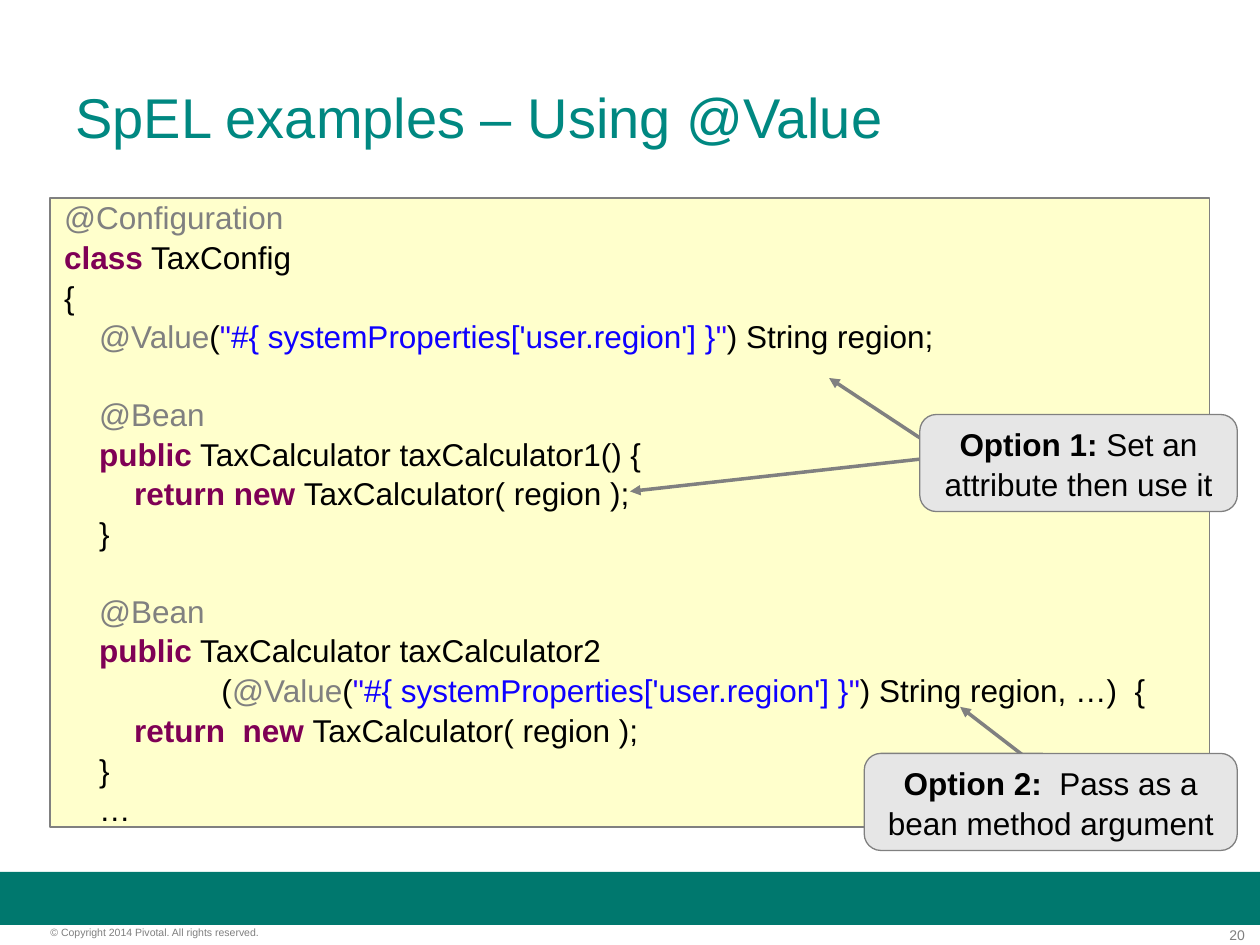
import pptx
import pptx.util
import pptx.dml.color
import pptx.enum.shapes
import pptx.enum.text
import pptx.oxml
import pptx.oxml.ns
from dataclasses import dataclass

Inches, Pt = pptx.util.Inches, pptx.util.Pt
RGB = pptx.dml.color.RGBColor.from_string
MSO = pptx.enum.shapes.MSO_SHAPE
ALIGN = pptx.enum.text.PP_ALIGN
ANCHOR = pptx.enum.text.MSO_ANCHOR


@dataclass(frozen=True)
class Theme:
    font: str = "Arial"
    title: str = "008881"
    band: str = "00786E"
    footer: str = "7F7F7F"
    code_fill: str = "FFFFCC"
    note_fill: str = "E6E6E6"
    line: str = "808080"
    text: str = "000000"
    keyword: str = "7F0055"
    annotation: str = "808080"
    quote: str = "2A00FF"
    string: str = "0F00FF"
    title_size: int = 32
    body_size: int = 18
    number_size: int = 8
    copyright_size: int = 6
    spacing: float = 1.05


T = Theme()


def add_box(kind, at, fill=None, line=None, width=0, inset=(0, 0)):
    """Add a preset shape, or a text box when kind is None."""
    pos = [Inches(v) for v in at]
    if kind is None:
        sp = s.shapes.add_textbox(*pos)
    else:
        sp = s.shapes.add_shape(kind, *pos)
        sp.shadow.inherit = False
        sp.fill.solid()
        sp.fill.fore_color.rgb = RGB(fill)
        if line:
            sp.line.color.rgb = RGB(line)
            sp.line.width = Pt(width)
        else:
            sp.line.fill.background()
    tf = sp.text_frame
    tf.word_wrap = True
    tf.margin_left = tf.margin_right = Inches(inset[0])
    tf.margin_top = tf.margin_bottom = Inches(inset[1])
    tf.vertical_anchor = ANCHOR.MIDDLE if inset[0] else ANCHOR.TOP
    return sp


def add_run(p, text, size, color, bold=False):
    r = p.add_run()
    r.text = text
    r.font.name = T.font
    r.font.size = Pt(size)
    r.font.bold = bold
    r.font.color.rgb = RGB(color)


prs = pptx.Presentation()
prs.slide_width, prs.slide_height = Inches(10), Inches(7.5)
s = prs.slides.add_slide(prs.slide_layouts[6])

# Footer band, page number and copyright
add_box(MSO.RECTANGLE, (0, 6.92, 10, 0.42), T.band)
footers = [
    ((9.3, 7.35, 0.58, 0.13), "20", T.number_size, ALIGN.RIGHT),
    ((0.4, 7.35, 2.49, 0.1), "© Copyright 2014 Pivotal. All rights reserved.",
     T.copyright_size, ALIGN.LEFT),
]
for at, text, size, align in footers:
    p = add_box(None, at).text_frame.paragraphs[0]
    p.alignment = align
    add_run(p, text, size, T.footer)

# Title
sp = add_box(None, (0.5, 0.3, 9, 1.25), inset=(0.1, 0.05))
add_run(sp.text_frame.paragraphs[0], "SpEL examples – Using @Value", T.title_size, T.title)

# Code panel: each line is a list of (text, colour)
value_call = [("@Value", T.annotation), ("(", T.text), ('"', T.quote),
              ("#{ systemProperties['user.region'] }", T.string), ('"', T.quote)]
bean = [("    ", T.text), ("@Bean", T.annotation)]
code = [
    [("@Configuration", T.annotation)],
    [("class", T.keyword), (" TaxConfig", T.text)],
    [("{", T.text)],
    [("    ", T.text), *value_call, (") String region;", T.text)],
    bean,
    [("    ", T.text), ("public", T.keyword), (" TaxCalculator taxCalculator1() {", T.text)],
    [("        ", T.text), ("return new ", T.keyword), ("TaxCalculator( region );", T.text)],
    [("    }", T.text)],
    bean,
    [("    ", T.text), ("public", T.keyword), (" TaxCalculator taxCalculator2", T.text)],
    [("                  (", T.text), *value_call, (") String region, …)  {", T.text)],
    [("        ", T.text), ("return  new ", T.keyword), ("TaxCalculator( region );", T.text)],
    [("    }", T.text)],
    [("    …", T.text)],
]
sp = add_box(MSO.RECTANGLE, (0.4, 1.57, 9.2, 4.99), T.code_fill, T.line, 1.13, (0.11, 0.06))
tf = sp.text_frame
for i, parts in enumerate(code):
    p = tf.paragraphs[0] if i == 0 else tf.add_paragraph()
    p.alignment = ALIGN.LEFT
    p.line_spacing = T.spacing
    if parts is bean:
        p.space_before = Pt(21.7)  # one line of code
    for text, color in parts:
        add_run(p, text, T.body_size, color, color == T.keyword)

# Callouts, each on top of the arrows that leave it
callouts = [
    ((7.3, 3.29, 2.52, 0.77), "Option 1:", " Set an", "attribute then use it",
     (7.52, 3.62), [(5, 3.9), (6.58, 3)]),
    ((6.86, 5.98, 2.96, 0.77), "Option 2:", "  Pass as a", "bean method argument",
     (8.62, 6.38), [(7.62, 5.61)]),
]
for at, label, first, second, start, targets in callouts:
    for end in targets:
        c = s.shapes.add_connector(pptx.enum.shapes.MSO_CONNECTOR.STRAIGHT,
                                   *[Inches(v) for v in start + end])
        c.line.color.rgb = RGB(T.line)
        c.line.width = Pt(0)
        ln = c.line._get_or_add_ln()
        ln.append(pptx.oxml.parse_xml(
            f'<a:tailEnd {pptx.oxml.ns.nsdecls("a")} type="triangle"/>'))
        ln.getparent().append(pptx.oxml.parse_xml(
            f'<a:effectLst {pptx.oxml.ns.nsdecls("a")}/>'))
    sp = add_box(MSO.ROUNDED_RECTANGLE, at, T.note_fill, T.line, 0, (0.1, 0.05))
    sp.adjustments[0] = 0.17
    p = sp.text_frame.paragraphs[0]
    p.alignment = ALIGN.CENTER
    p.line_spacing = T.spacing
    add_run(p, label, T.body_size, T.text, True)
    add_run(p, first, T.body_size, T.text)
    p.add_line_break()
    add_run(p, second, T.body_size, T.text)

prs.save("out.pptx")
